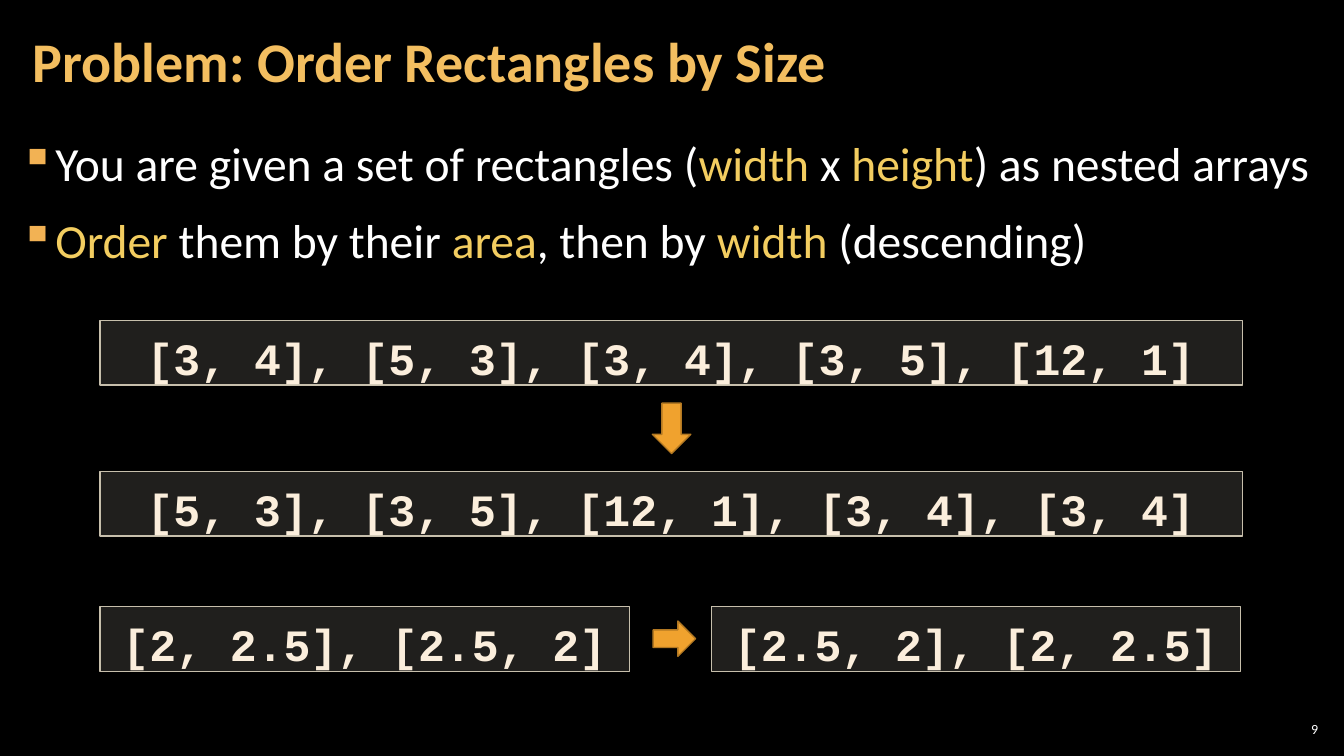
"""Build a slide that states the rectangle ordering problem with two examples."""
from lxml import etree
from pptx import Presentation
from pptx import util as u
from pptx.dml.color import RGBColor
from pptx.enum import shapes, text
from pptx.oxml import ns

Cm, Pt = u.Cm, u.Pt


class Theme:
    back, white = "000000", "FFFFFF"
    title, accent, bullet = "F3BE60", "F3CD60", "F2B254"
    panel, edge, code = "D9D5C7", "C7BFAC", "FBEEDC"
    arrow, rim = "F0A22E", "B27822"
    sans, mono = "Calibri", "Courier New"
    head, body, sample, page = 40, 34, 32, 10


def style(run, size, color, face=Theme.sans, bold=False):
    font = run.font
    font.name, font.size, font.bold = face, Pt(size), bold
    font.color.rgb = RGBColor.from_string(color)


def place(spot, kind=None, fill=None, line=None, pad=(0.3, 0.1)):
    area = [Cm(n) for n in spot]
    if kind is None:
        item = slide.shapes.add_textbox(*area)
    else:
        item = slide.shapes.add_shape(kind, *area)
        item.shadow.inherit = False
        item.fill.solid()
        item.fill.fore_color.rgb = RGBColor.from_string(fill)
        item.line.color.rgb = RGBColor.from_string(line)
        item.line.width = Pt(1)
    frame = item.text_frame
    frame.word_wrap = True
    frame.margin_left = frame.margin_right = Cm(pad[0])
    frame.margin_top = frame.margin_bottom = Cm(pad[1])
    return item


deck = Presentation()
deck.slide_width, deck.slide_height = Cm(33.87), Cm(19.05)
slide = deck.slides.add_slide(deck.slide_layouts[6])
slide.background.fill.solid()
slide.background.fill.fore_color.rgb = RGBColor.from_string(Theme.back)

labels = [
    ("9", (32.13, 18.14, 1.19, 0.53), 0.1, Theme.page, Theme.white, False, text.PP_ALIGN.RIGHT),
    ("Problem: Order Rectangles by Size", (0.53, 0.1, 26.6, 3.07), 0.3,
     Theme.head, Theme.title, True, text.PP_ALIGN.LEFT),
]
for words, spot, side, size, color, bold, align in labels:
    frame = place(spot, pad=(side, 0.1)).text_frame
    frame.vertical_anchor = text.MSO_ANCHOR.MIDDLE
    frame.text = words
    para = frame.paragraphs[0]
    para.alignment, para.line_spacing = align, 0.9
    style(para.runs[0], size, color, bold=bold)

points = [
    ["You are given a set of rectangles (", "width", " x ", "height", ") as nested arrays"],
    ["", "Order ", "them by their ", "area", ", then by ", "width ", "(descending)"],
]
frame = place((0.2, 3.2, 33.45, 15.47)).text_frame
for row, parts in enumerate(points):
    para = frame.add_paragraph() if row else frame.paragraphs[0]
    props = para._p.get_or_add_pPr()
    props.set("marL", str(Cm(0.84)))
    props.set("indent", str(-Cm(0.84)))
    tint = etree.SubElement(props, ns.qn("a:buClr"))
    etree.SubElement(tint, ns.qn("a:srgbClr"), val=Theme.bullet)
    etree.SubElement(props, ns.qn("a:buChar"), char="▪")
    para.line_spacing = 1.05
    para.space_before, para.space_after = Pt(6 if row else 0), Pt(6)
    for col, words in enumerate(parts):
        if words:
            run = para.add_run()
            run.text = words
            style(run, Theme.body, Theme.accent if col % 2 else Theme.white)

left, wide, half, tall = 2.52, 28.8, 13.34, 1.63
samples = [
    ("[3, 4], [5, 3], [3, 4], [3, 5], [12, 1]", left, 8.07, wide),
    ("[5, 3], [3, 5], [12, 1], [3, 4], [3, 4]", left, 11.88, wide),
    ("[2, 2.5], [2.5, 2]", left, 15.29, half),
    ("[2.5, 2], [2, 2.5]", 17.93, 15.29, half),
]
for words, x, y, width in samples:
    box = place((x, y, width, tall), shapes.MSO_SHAPE.RECTANGLE,
                Theme.panel, Theme.edge, (0.25, 0.1))
    shade = box._element.spPr.find(ns.qn("a:solidFill"))[0]
    etree.SubElement(shade, ns.qn("a:alpha"), val="15000")
    frame = box.text_frame
    frame.margin_top = Cm(0.26)
    frame.vertical_anchor = text.MSO_ANCHOR.TOP
    frame.text = words
    para = frame.paragraphs[0]
    para.alignment = text.PP_ALIGN.CENTER
    style(para.runs[0], Theme.sample, Theme.code, Theme.mono, True)

arrows = [
    (shapes.MSO_SHAPE.DOWN_ARROW, (16.44, 10.16, 0.97, 1.27)),
    (shapes.MSO_SHAPE.RIGHT_ARROW, (16.46, 15.65, 1.07, 0.89)),
]
for kind, spot in arrows:
    place(spot, kind, Theme.arrow, Theme.rim)

deck.save("out.pptx")
